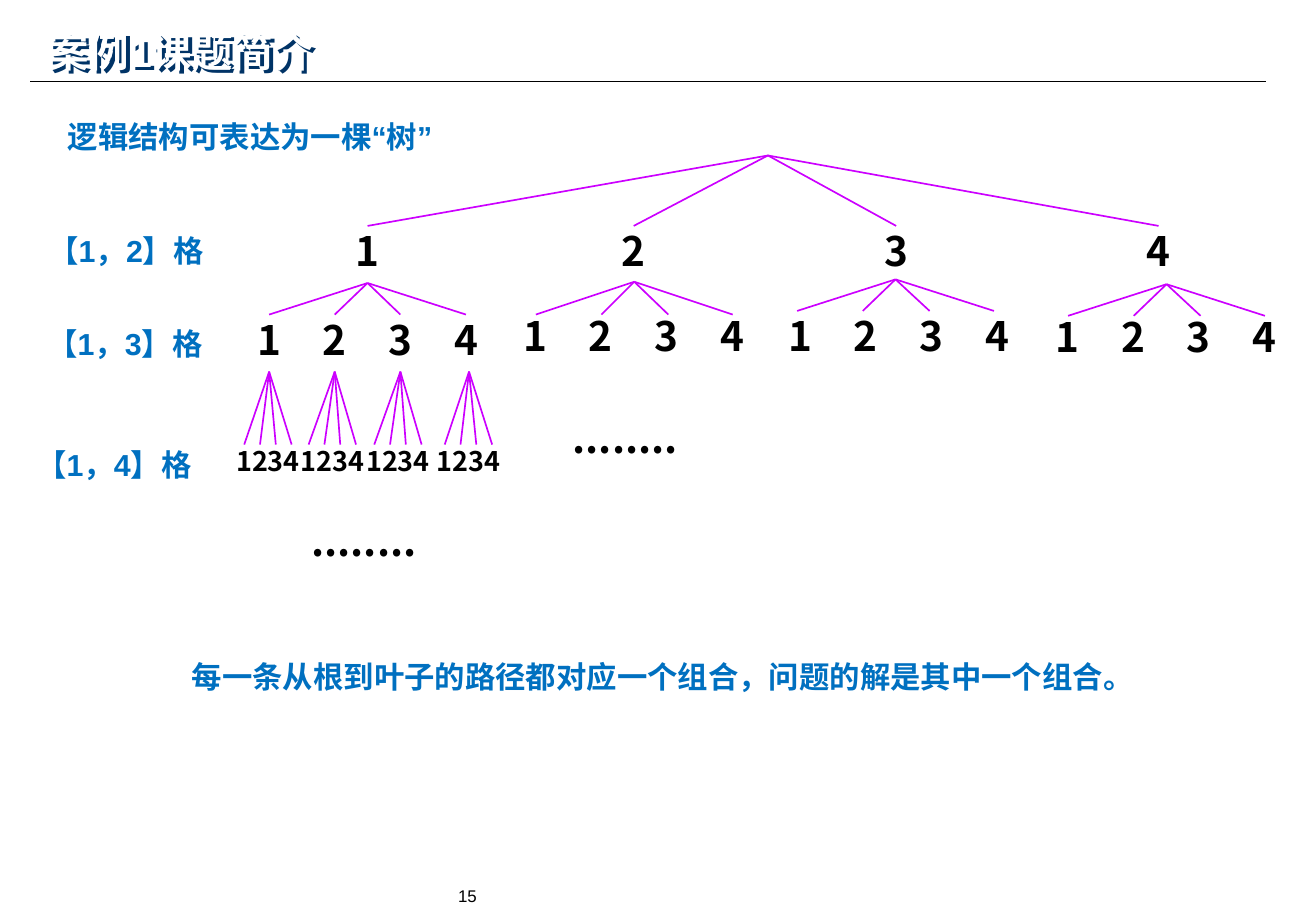
from lxml import etree
from pptx import Presentation
from pptx import util as u
from pptx.dml.color import RGBColor
from pptx.enum import shapes, text
from pptx.oxml.ns import qn

COLORS = {"ink": "000000", "title": "FFFFFF", "shadow": "003366",
          "note": "0070C0", "branch": "CC00FF"}
SANS, DIGIT = "Arial", "Noto Sans CJK SC"

TITLE = "案例1课题简介"
PAGE = "15"
NOTES = [  # left, top, width, wording
    (0.46, 0.92, 3.98, "逻辑结构可表达为一棵“树”"),
    (0.3, 1.86, 1.54, "【1，2】格"),
    (0.29, 2.63, 1.54, "【1，3】格"),
    (0.2, 3.62, 1.54, "【1，4】格"),
    (1.48, 5.37, 8.94, "每一条从根到叶子的路径都对应一个组合，问题的解是其中一个组合。"),
]
DOTS = [(4.29, 3.4), (2.14, 4.25)]

CHOICES = "1234"
ROOT = (6.32, 1.28)
FIRST_TOP, NODE_W, NODE_H = 1.86, 0.55, 0.47
FIRST_LEFTS = [2.75, 4.94, 7.1, 9.26]
# left and top of each second-level row; where its fan starts and how low
# it ends, or None when the fan joins the boxes themselves
SECOND = [
    (1.94, 2.59, None, None),
    (4.13, 2.56, (5.22, 2.32), 2.59),
    (6.31, 2.56, (7.37, 2.3), 2.56),
    (8.51, 2.57, (9.6, 2.34), 2.6),
]
SECOND_STEPS = [0, 0.54, 1.08, 1.62]
FAN_STEPS = [-0.81, -0.27, 0.28, 0.81]
# left of each third-level row and its fan start, None for the box above
THIRD = [(1.94, None), (2.47, None), (3.01, None), (3.59, (3.86, 3.06))]
THIRD_TOP, LEAF_W, LEAF_STEP = 3.66, 0.14, 0.13

prs = Presentation()
prs.slide_width, prs.slide_height = u.Inches(10.83), u.Inches(7.5)
s = prs.slides.add_slide(prs.slide_layouts[6])


def rgb(name):
    return RGBColor.from_string(COLORS[name])


def add_text(box, words, size, color, font=SANS, bold=True, inset=(0.1, 0.05),
             align=text.PP_ALIGN.LEFT, anchor=text.MSO_ANCHOR.TOP):
    sp = s.shapes.add_textbox(*map(u.Inches, box))
    tf = sp.text_frame
    tf.word_wrap = True
    tf.vertical_anchor = anchor
    tf.margin_left = tf.margin_right = u.Inches(inset[0])
    tf.margin_top = tf.margin_bottom = u.Inches(inset[1])
    p = tf.paragraphs[0]
    p.alignment = align
    r = p.add_run()
    r.text = words
    r.font.size, r.font.bold, r.font.name = u.Pt(size), bold, font
    r.font.color.rgb = rgb(color)
    etree.SubElement(r.font._element, qn("a:ea"), typeface=font)
    return sp


def add_node(left, top, words, width=NODE_W, size=24):
    return add_text((left, top, width, NODE_H), words, size, "ink", DIGIT,
                    inset=(0, 0), align=text.PP_ALIGN.CENTER)


def add_line(start, end, color="branch", width=1):
    """Draw a line; each end is a point, or a box joined at bottom or top."""
    points = [(0, 0) if hasattr(e, "shape_id") else e for e in (start, end)]
    c = s.shapes.add_connector(shapes.MSO_CONNECTOR.STRAIGHT,
                               *[u.Inches(v) for xy in points for v in xy])
    if hasattr(start, "shape_id"):
        c.begin_connect(start, 2)
    if hasattr(end, "shape_id"):
        c.end_connect(end, 0)
    c.line.color.rgb = rgb(color)
    c.line.width = u.Pt(width)
    etree.SubElement(c._element.spPr, qn("a:effectLst"))


add_line((0.25, 0.67), (10.42, 0.67), "ink", 0.75)
add_text((3.7, 7.25, 3.43, 0.25), PAGE, 10, "ink", bold=False, inset=(0.07, 0.04))
title = add_text((0.3, 0.17, 9.21, 0.5), TITLE, 24, "title",
                 anchor=text.MSO_ANCHOR.MIDDLE)
effects = etree.SubElement(title._element.spPr, qn("a:effectLst"))
shadow = etree.SubElement(effects, qn("a:outerShdw"), dist="36000", dir="2700000",
                          algn="ctr", rotWithShape="0")
etree.SubElement(shadow, qn("a:srgbClr"), val=COLORS["shadow"])

for left, top, width, words in NOTES:
    add_text((left, top, width, 0.4), words, 18, "note")
for left, top in DOTS:
    add_node(left, top, "........", width=1.71)

first = [add_node(x, FIRST_TOP, d) for x, d in zip(FIRST_LEFTS, CHOICES)]
for node in first:
    add_line(ROOT, node)

second = []
for parent, (left, top, start, end_y) in zip(first, SECOND):
    row = [add_node(left + dx, top, d) for dx, d in zip(SECOND_STEPS, CHOICES)]
    second.append(row)
    for node, dx in zip(row, FAN_STEPS):
        if start:
            add_line(start, (start[0] + dx, end_y))
        else:
            add_line(parent, node)

for parent, (left, start) in zip(second[0], THIRD):
    for i, d in enumerate(CHOICES):
        leaf = add_node(left + i * LEAF_STEP, THIRD_TOP, d, LEAF_W, 16)
        add_line(start or parent, leaf)

prs.save("out.pptx")
